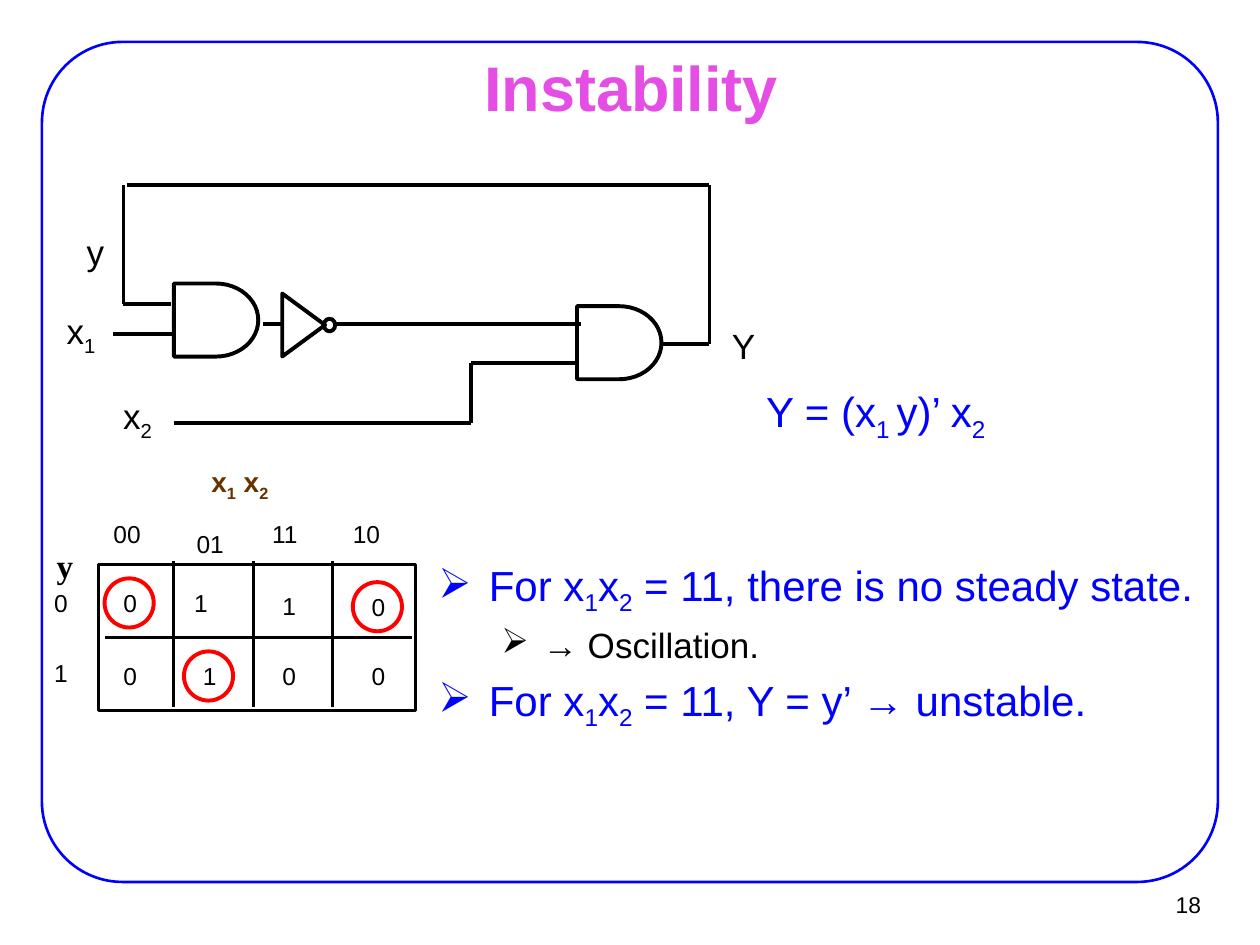
from lxml.etree import SubElement
from pptx import Presentation
from pptx.dml.color import RGBColor
from pptx.enum.shapes import MSO_CONNECTOR as Conn, MSO_SHAPE as Shape
from pptx.enum.text import MSO_ANCHOR as Anchor, PP_ALIGN as Align
from pptx.oxml.ns import qn
from pptx.util import Inches, Pt

BLACK = RGBColor(0x00, 0x00, 0x00)
BLUE = RGBColor(0x00, 0x00, 0xFF)
RED = RGBColor(0xFF, 0x00, 0x00)
PINK = RGBColor(0xE4, 0x4E, 0xE4)
BROWN = RGBColor(0x66, 0x33, 0x00)

TIGHT = (0, 0)
NORMAL = (0.1, 0.05)
ROOMY = (0.11, 0.06)


def add_runs(p, text, size, color=BLACK, font="Arial", bold=False):
    for i, part in enumerate(text.split("~")):
        if not part:
            continue
        r = p.add_run()
        r.text = part
        for name, value in {"size": Pt(size), "name": font, "bold": bold}.items():
            setattr(r.font, name, value)
        r.font.color.rgb = color
        if i % 2:
            r.font._element.set("baseline", "-25000")


def add_bullet(p, margin, hang):
    pPr = p._p.get_or_add_pPr()
    pPr.set("marL", str(Inches(margin)))
    pPr.set("indent", str(-Inches(hang)))
    before = SubElement(pPr, qn("a:spcBef"))
    SubElement(before, qn("a:spcPct")).set("val", "20000")
    SubElement(pPr, qn("a:buChar")).set("char", "\u27a2")


class Region:
    def __init__(self, shapes, box, cols, rows):
        self.shapes = shapes
        self.left, self.top, width, height = box
        self.col, self.row = width / cols, height / rows

    def point(self, x, y):
        return Inches(self.left + x * self.col), Inches(self.top + y * self.row)

    def frame(self, x, y, w, h):
        return (*self.point(x, y), Inches(w * self.col), Inches(h * self.row))

    def line(self, x1, y1, x2, y2, width):
        c = self.shapes.add_connector(Conn.STRAIGHT, *self.point(x1, y1), *self.point(x2, y2))
        c.line.color.rgb = BLACK
        c.line.width = Pt(width)
        SubElement(c._element.spPr, qn("a:effectLst"))

    def outline(self, kind, frame, width, color=BLACK):
        sp = self.shapes.add_shape(kind, *self.frame(*frame))
        sp.shadow.inherit = False
        sp.fill.background()
        sp.line.color.rgb = color
        sp.line.width = Pt(width)
        return sp

    def box(self, frame, insets=NORMAL, wrap=True, anchor=Anchor.TOP):
        tf = self.shapes.add_textbox(*self.frame(*frame)).text_frame
        dx, dy = (Inches(n) for n in insets)
        for name, value in {"word_wrap": wrap, "vertical_anchor": anchor,
                            "margin_left": dx, "margin_right": dx,
                            "margin_top": dy, "margin_bottom": dy}.items():
            setattr(tf, name, value)
        return tf

    def text(self, text, frame, size, align=Align.LEFT, insets=NORMAL,
             wrap=True, anchor=Anchor.TOP, **style):
        p = self.box(frame, insets, wrap, anchor).paragraphs[0]
        p.alignment = align
        add_runs(p, text, size, **style)


def page_frame(shapes, box):
    page = Region(shapes, box, 100, 75)
    page.outline(Shape.ROUNDED_RECTANGLE, (3.33, 3.33, 93.33, 66.67), 1.5, BLUE).adjustments[0] = 0.096
    page.text("18", (90.2, 69.9, 6.1, 3.7), 13, Align.RIGHT, wrap=False, anchor=Anchor.MIDDLE)
    page.text("Instability", (7.6, 4.4, 85, 4.9), 36, Align.CENTER, ROOMY,
              anchor=Anchor.MIDDLE, color=PINK, bold=True)


def circuit(shapes, box):
    area = Region(shapes, box, 58, 21)
    wires = [
        (4.7, 11.8, 9.5, 11.8), (22.1, 11, 41.8, 11), (33.1, 14.1, 41.5, 14.1),
        (5.5, 9.4, 5.5, 0), (5.8, 0, 52, 0), (52, 12.6, 52, 0),
        (16.6, 11, 18.1, 11), (5.5, 9.4, 9.3, 9.4), (33.1, 18.9, 33.1, 14.1),
        (9.5, 18.9, 33.1, 18.9), (48.1, 12.6, 52, 12.6),
    ]
    for x1, y1, x2, y2 in wires:
        area.line(x1, y1, x2, y2, 2 if x1 == x2 else 2.25)
    for x, y in [(9.5, 7.8), (41.5, 9.6)]:
        area.outline(Shape.FLOWCHART_DELAY, (x, y, 6.7, 5.8), 2.25)
    area.outline(Shape.ISOSCELES_TRIANGLE, (17.3, 9.4, 5, 3.4), 2.25).rotation = 90
    area.outline(Shape.OVAL, (21.4, 10.6, 0.9, 1), 2.25)
    for label, x, y in [("Y", 52.8, 10.6), ("x~1", 0, 9.4), ("y", 1.6, 3.1), ("x~2", 4.5, 16.1)]:
        area.text(label, (x, y, 5, 4.3), 20)


def state_map(shapes, box):
    area = Region(shapes, box, 25.2, 11.6)
    area.outline(Shape.RECTANGLE, (0, 0, 25.2, 11.6), 1.75)
    area.line(0.5, 5.8, 24.9, 5.8, 1.75)
    for i in range(3):
        x = 6 + 6.3 * i
        area.line(x, 11.3, x, -0.3, 1.75)
    digits = [
        ("00", 1.2, -3.6), ("01", 7.8, -2.8), ("11", 13.8, -3.6), ("10", 20.2, -3.6),
        ("0", -3.5, 1.9), ("0", 2, 1.9), ("1", 7.6, 1.9), ("1", 14.6, 2.1), ("0", 21.7, 2.2),
        ("1", -3.5, 7.4), ("0", 2, 7.7), ("1", 8.3, 7.7), ("0", 14.6, 7.7), ("0", 21.7, 7.7),
    ]
    for value, x, y in digits:
        area.text(value, (x, y, 1.1 * len(value), 2.3), 14, insets=TIGHT, wrap=False)
    for x, y in [(0.5, 1.1), (20.2, 1.4), (6.8, 6.9)]:
        area.outline(Shape.OVAL, (x, y, 3.9, 3.9), 2.25, RED)
    area.text("x~1~ x~2", (8, -8.4, 6.8, 3.7), 16, wrap=False, color=BROWN, bold=True)
    area.text("y", (-4.3, -2, 7.1, 4.2), 19, font="Times New Roman", bold=True)


def conclusions(shapes, box):
    area = Region(shapes, box, 71, 31)
    points = [
        ("For x~1~x~2~ = 11, there is no steady state.", 24, BLUE, 0.9, 0.4),
        ("\u2192 Oscillation.", 20, BLACK, 1.33, 0.33),
        ("For x~1~x~2~ = 11, Y = y\u2019 \u2192 unstable.", 24, BLUE, 0.9, 0.4),
    ]
    tf = area.box((0, 0, 71, 31), ROOMY)
    for i, (text, size, color, margin, hang) in enumerate(points):
        p = tf.add_paragraph() if i else tf.paragraphs[0]
        add_bullet(p, margin, hang)
        add_runs(p, text, size, color)


def equation(shapes, box):
    area = Region(shapes, box, 1, 1)
    area.text("Y = (x~1 ~y)\u2019 x~2", (0, 0, 1, 1), 24, insets=ROOMY, color=BLUE)


prs = Presentation()
prs.slide_width, prs.slide_height = Inches(10), Inches(7.5)
s = prs.slides.add_slide(prs.slide_layouts[6])
regions = [
    (page_frame, (0, 0, 10, 7.5)),
    (equation, (5.97, 3, 2.45, 0.7)),
    (circuit, (0.43, 1.47, 5.8, 2.1)),
    (state_map, (0.78, 4.48, 2.52, 1.16)),
    (conclusions, (2.87, 4.38, 7.1, 3.1)),
]
for build, box in regions:
    build(s.shapes, box)
prs.save("out.pptx")
